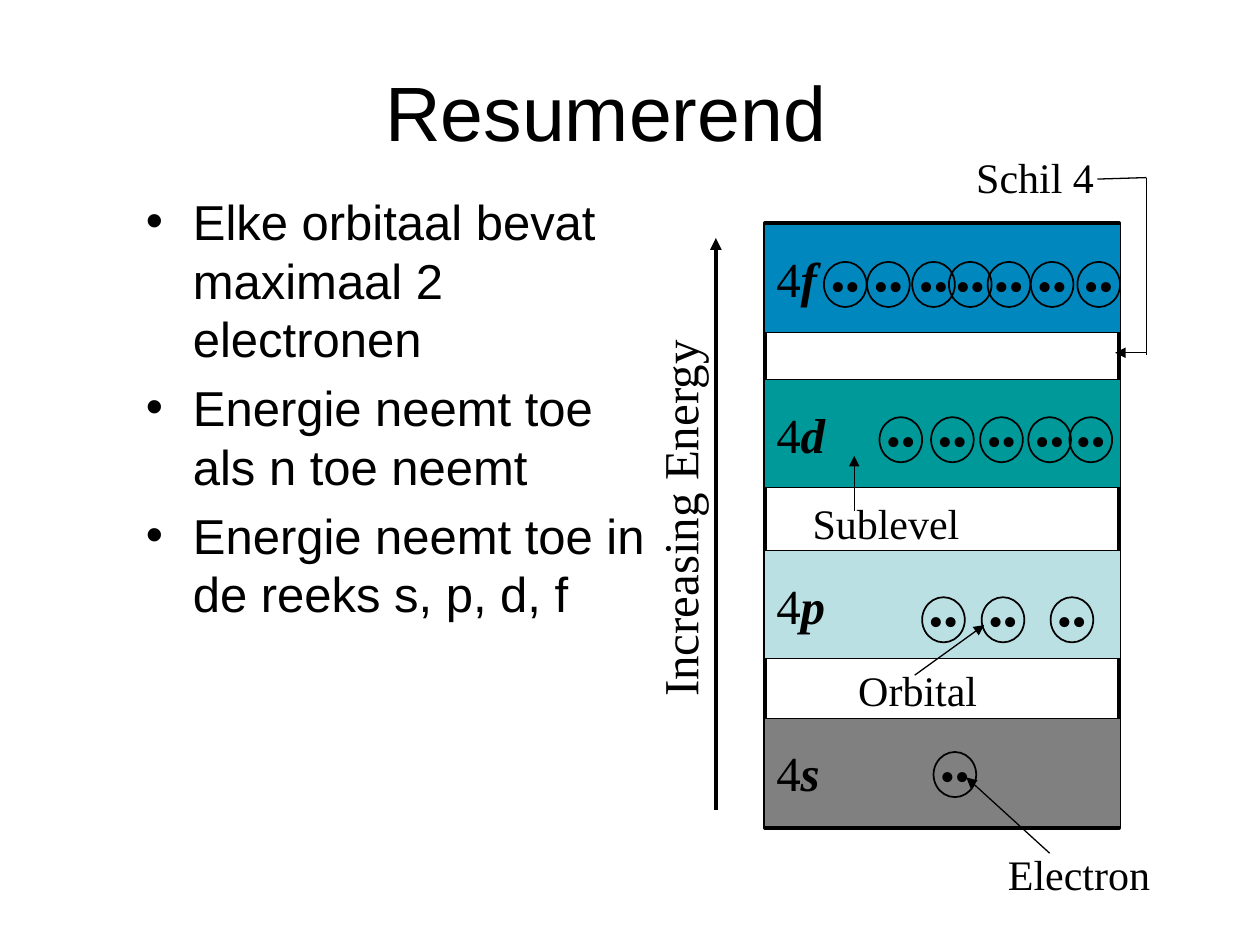
from lxml import etree
from pptx import Presentation
from pptx.dml.color import RGBColor
from pptx.enum.shapes import MSO_CONNECTOR, MSO_SHAPE
from pptx.enum.text import MSO_ANCHOR, PP_ALIGN
from pptx.oxml.ns import qn
from pptx.util import Cm, Pt

LEFT, CENTER = PP_ALIGN.LEFT, PP_ALIGN.CENTER
TOP, MIDDLE = MSO_ANCHOR.TOP, MSO_ANCHOR.MIDDLE
SANS, SERIF = "Arial", "Times New Roman"
BLACK, WHITE = "000000", "FFFFFF"

# Content; all lengths in cm
TITLE = "Resumerend"
BULLETS = [
    "Elke orbitaal bevat maximaal 2 electronen",
    "Energie neemt toe als n toe neemt",
    "Energie neemt toe in de reeks s, p, d, f",
]
SHELL = (15.42, 4.5, 7.14, 12.19)
BAND_LEFT, BAND_WIDTH, BAND_HEIGHT = 15.4, 7.19, 2.18
ORBITAL_WIDTH, ORBITAL_HEIGHT = 0.86, 0.91
# sublevel, colour, band top, orbital top, orbital lefts
SUBLEVELS = [
    ("s", "808080", 14.48, 15.16, [18.82]),
    ("p", "BBE0E3", 11.1, 12.04, [18.59, 19.79, 21.18]),
    ("d", "009999", 7.65, 8.41, [17.73, 18.77, 19.76, 20.73, 21.56]),
    ("f", "0088BE", 4.52, 5.28,
     [16.61, 17.48, 18.39, 19.13, 19.91, 20.78, 21.72]),
]
# text, box, alignment
LABELS = [
    ("Electron", (20.07, 16.99, 3.38, 1.27), LEFT),
    ("Orbital", (17.04, 13.28, 2.92, 1.27), CENTER),
    ("Sublevel", (16.13, 9.91, 3.48, 1.27), LEFT),
    ("Schil 4", (19.43, 2.92, 2.9, 1.27), LEFT),
]
# start, end, line width, arrowhead at end
LINES = [
    ((14.43, 16.33), (14.43, 4.8), 2.25, True),    # energy axis
    ((21.16, 17.2), (19.48, 15.67), 0.75, True),   # electron
    ((18.44, 13.61), (19.84, 12.6), 0.75, True),   # orbital
    ((17.22, 10.31), (17.22, 9.19), 0.75, True),   # sublevel
    ((22.12, 3.61), (23.11, 3.58), 0.75, False),   # shell
    ((23.11, 3.58), (23.11, 7.16), 0.75, False),
    ((23.11, 7.11), (22.48, 7.11), 0.75, True),
]


def color(hex_string):
    return RGBColor.from_string(hex_string)


def style_run(run, size, font_name):
    run.font.size = Pt(size)
    run.font.name = font_name
    run.font.color.rgb = color(BLACK)


def set_text(shape, lines, size, font_name, align=LEFT, anchor=TOP, wrap=False):
    frame = shape.text_frame
    frame.text = "\n".join(lines)
    frame.word_wrap = wrap
    frame.vertical_anchor = anchor
    for paragraph in frame.paragraphs:
        paragraph.alignment = align
        for run in paragraph.runs:
            style_run(run, size, font_name)
    return frame


def add_text(slide, box, lines, size, font_name, **options):
    shape = slide.shapes.add_textbox(*map(Cm, box))
    set_text(shape, lines, size, font_name, **options)
    return shape


def add_outlined(slide, kind, box, line_width, fill=None):
    shape = slide.shapes.add_shape(kind, *map(Cm, box))
    shape.shadow.inherit = False
    if fill:
        shape.fill.solid()
        shape.fill.fore_color.rgb = color(fill)
    else:
        shape.fill.background()
    shape.line.color.rgb = color(BLACK)
    shape.line.width = Pt(line_width)
    return shape


def add_line(slide, start, end, width, arrow):
    connector = slide.shapes.add_connector(
        MSO_CONNECTOR.STRAIGHT, *map(Cm, start + end))
    connector.line.color.rgb = color(BLACK)
    connector.line.width = Pt(width)
    if arrow:
        etree.SubElement(connector.line._get_or_add_ln(), qn("a:tailEnd"),
                         type="triangle")
    etree.SubElement(connector._element.spPr, qn("a:effectLst"))


def add_bullets(slide):
    shape = add_text(slide, (2.69, 3.73, 10.59, 13.49), BULLETS, 28, SANS,
                     wrap=True)
    for paragraph in shape.text_frame.paragraphs:
        paragraph.space_before = Pt(5.6)
        properties = paragraph._p.get_or_add_pPr()
        properties.set("marL", str(Cm(0.95)))
        properties.set("indent", str(Cm(-0.95)))
        etree.SubElement(properties, qn("a:buFont"), typeface=SANS)
        etree.SubElement(properties, qn("a:buChar"), char="•")


def add_band(slide, letter, fill, top):
    band = add_outlined(slide, MSO_SHAPE.RECTANGLE,
                        (BAND_LEFT, top, BAND_WIDTH, BAND_HEIGHT), 0.75, fill)
    frame = set_text(band, ["4"], 28, SERIF, anchor=MIDDLE)
    run = frame.paragraphs[0].add_run()
    run.text = letter
    style_run(run, 28, SERIF)
    run.font.bold = run.font.italic = True


def add_orbital(slide, left, top):
    orbital = add_outlined(slide, MSO_SHAPE.OVAL,
                           (left, top, ORBITAL_WIDTH, ORBITAL_HEIGHT), 1)
    set_text(orbital, ["••"], 24, SERIF, align=CENTER, anchor=MIDDLE)


def main():
    presentation = Presentation()
    presentation.slide_width, presentation.slide_height = Cm(25.4), Cm(19.05)
    slide = presentation.slides.add_slide(presentation.slide_layouts[6])

    # Title and bullets
    add_text(slide, (1.42, 0.64, 21.59, 3.18), [TITLE], 44, SANS,
             align=CENTER, anchor=MIDDLE, wrap=True)
    add_bullets(slide)

    # Shell with its sublevels and orbitals
    add_outlined(slide, MSO_SHAPE.RECTANGLE, SHELL, 2.25, WHITE)
    for letter, fill, band_top, orbital_top, lefts in SUBLEVELS:
        add_band(slide, letter, fill, band_top)
        for left in lefts:
            add_orbital(slide, left, orbital_top)

    # Labels, axis and pointers
    axis_label = add_text(slide, (9.83, 9.73, 7.72, 1.45),
                          ["Increasing Energy"], 28, SERIF, align=CENTER)
    axis_label.rotation = 270
    for text, box, align in LABELS:
        add_text(slide, box, [text], 24, SERIF, align=align)
    for line in LINES:
        add_line(slide, *line)

    presentation.save("out.pptx")


if __name__ == "__main__":
    main()
